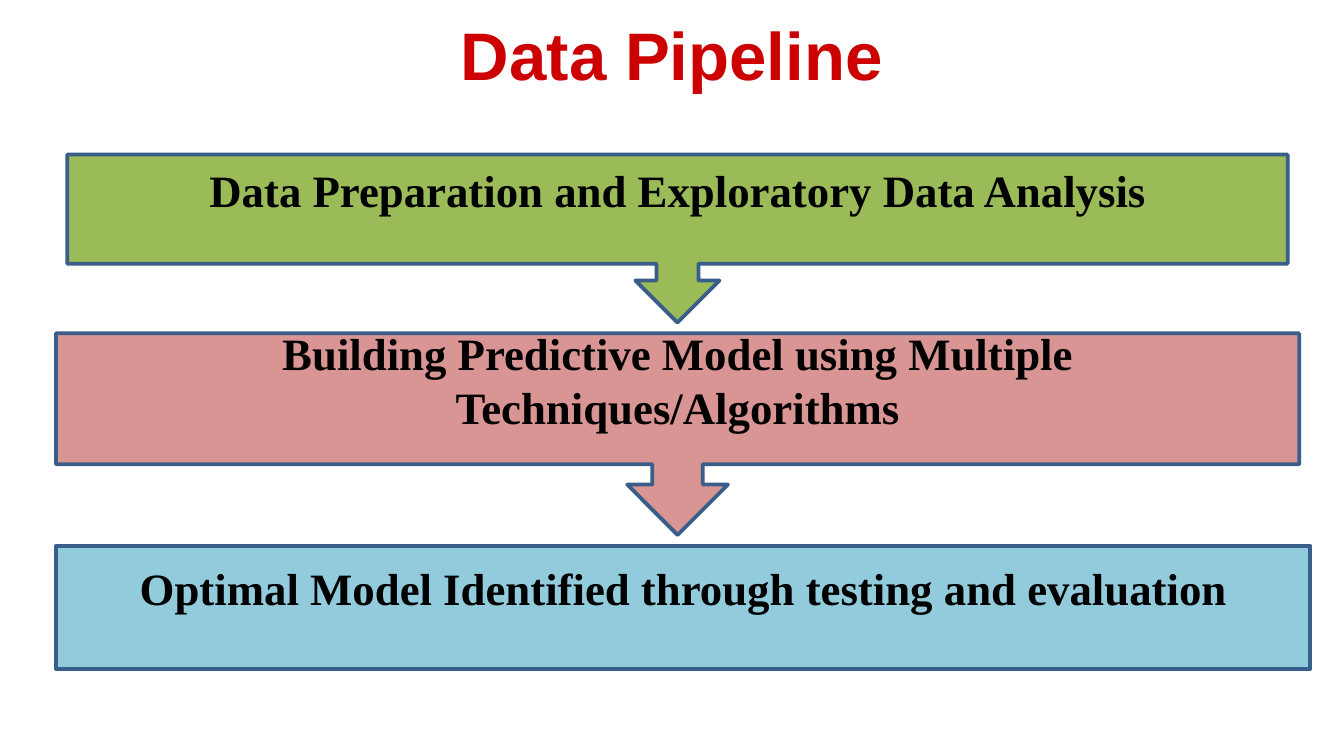
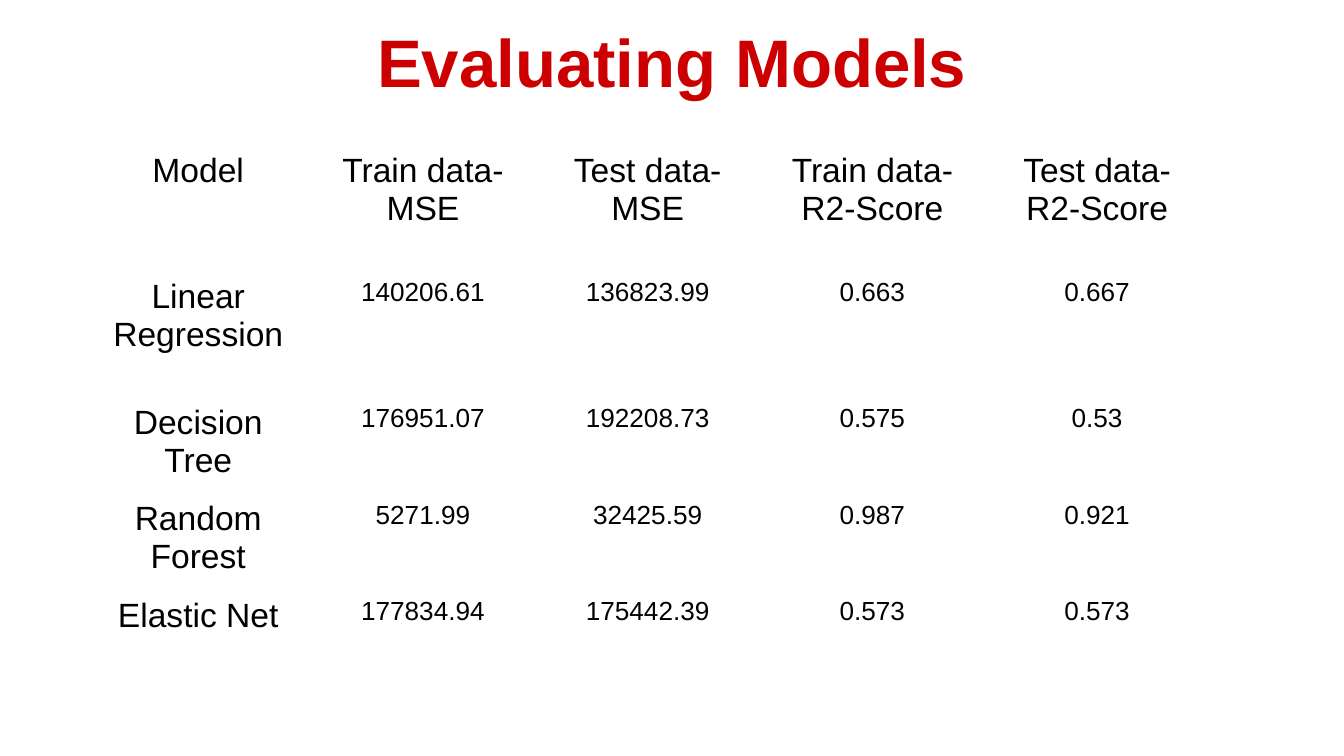
from pptx import Presentation
from pptx.dml.color import RGBColor
from pptx.enum.shapes import MSO_SHAPE
from pptx.enum.text import MSO_ANCHOR, PP_ALIGN
from pptx.util import Pt

CALLOUT = MSO_SHAPE.DOWN_ARROW_CALLOUT
RECTANGLE = MSO_SHAPE.RECTANGLE
MIDDLE = MSO_ANCHOR.MIDDLE
CENTER = PP_ALIGN.CENTER

COLORS = {
    "title": "CC0000",
    "text": "000000",
    "outline": "395E89",
    "preparation": "9BBB59",
    "modelling": "D99593",
    "selection": "92CCDC",
}
HEADING_FONT = "Arial"
STAGE_FONT = "Times New Roman"

# Kind, fill, left, top, width, height, label
STAGES = [
    (CALLOUT, "preparation", 36, 82.8, 653.8, 90,
     "Data Preparation and Exploratory Data Analysis"),
    (CALLOUT, "modelling", 30, 178.6, 666, 108,
     "Building Predictive Model using Multiple Techniques/Algorithms"),
    (RECTANGLE, "selection", 30, 292.4, 672, 66,
     "Optimal Model Identified through testing and evaluation"),
]

SCORES = [
    ["Model", "Train data-\nMSE", "Test data-\nMSE",
     "Train data-\nR2-Score", "Test data-\vR2-Score"],
    ["Linear Regression", "140206.61", "136823.99", "0.663", "0.667"],
    ["Decision Tree", "176951.07", "192208.73", "0.575", "0.53"],
    ["Random Forest", "5271.99", "32425.59", "0.987", "0.921"],
    ["Elastic Net", "177834.94", "175442.39", "0.573", "0.573"],
]
COLUMN_WIDTH = 120.4
ROW_HEIGHTS = [67.5, 67.5, 51.7, 51.7, 51.7]


def color(name):
    return RGBColor.from_string(COLORS[name])


def write_centered(text_frame, text, font_name, size, color_name, bold):
    text_frame.text = text
    for paragraph in text_frame.paragraphs:
        paragraph.alignment = CENTER
        for run in paragraph.runs:
            run.font.name = font_name
            run.font.size = Pt(size)
            run.font.bold = bold
            run.font.color.rgb = color(color_name)


def add_title(slide, text, top, height):
    box = slide.shapes.add_textbox(Pt(24.5), Pt(top), Pt(671), Pt(height))
    text_frame = box.text_frame
    text_frame.word_wrap = True
    text_frame.vertical_anchor = MIDDLE
    text_frame.margin_top = text_frame.margin_bottom = Pt(7.2)
    write_centered(text_frame, text, HEADING_FONT, 36, "title", True)


def add_stage(slide, kind, fill, left, top, width, height, label):
    """Add one pipeline step, its label lifted by a deep bottom margin."""
    shape = slide.shapes.add_shape(kind, Pt(left), Pt(top), Pt(width), Pt(height))
    if kind == CALLOUT:
        for index, value in enumerate((0.25, 0.25, 0.25, 0.65)):
            shape.adjustments[index] = value
    shape.shadow.inherit = False
    shape.fill.solid()
    shape.fill.fore_color.rgb = color(fill)
    shape.line.color.rgb = color("outline")
    shape.line.width = Pt(2)
    text_frame = shape.text_frame
    text_frame.word_wrap = True
    text_frame.vertical_anchor = MIDDLE
    text_frame.margin_bottom = Pt(24.3)
    write_centered(text_frame, label, STAGE_FONT, 24, "text", True)


def add_score_table(slide, left, top):
    """Add the plain table; headings and model names are larger than scores."""
    columns = len(SCORES[0])
    frame = slide.shapes.add_table(
        len(SCORES), columns, Pt(left), Pt(top),
        Pt(COLUMN_WIDTH * columns), Pt(sum(ROW_HEIGHTS)))
    table = frame.table
    table.first_row = table.horz_banding = False
    for column in table.columns:
        column.width = Pt(COLUMN_WIDTH)
    for row_index, values in enumerate(SCORES):
        table.rows[row_index].height = Pt(ROW_HEIGHTS[row_index])
        for column_index, value in enumerate(values):
            cell = table.cell(row_index, column_index)
            cell.fill.background()
            size = 18 if row_index == 0 or column_index == 0 else 14
            write_centered(cell.text_frame, value, HEADING_FONT, size, "text", False)


def main():
    presentation = Presentation()
    presentation.slide_width = Pt(720)
    presentation.slide_height = Pt(405)
    blank = presentation.slide_layouts[6]

    pipeline = presentation.slides.add_slide(blank)
    add_title(pipeline, "Data Pipeline", 10.8, 36)
    for stage in STAGES:
        add_stage(pipeline, *stage)

    evaluation = presentation.slides.add_slide(blank)
    add_title(evaluation, "Evaluating Models", 0, 65)
    add_score_table(evaluation, 46, 77.8)

    presentation.save("out.pptx")


if __name__ == "__main__":
    main()
